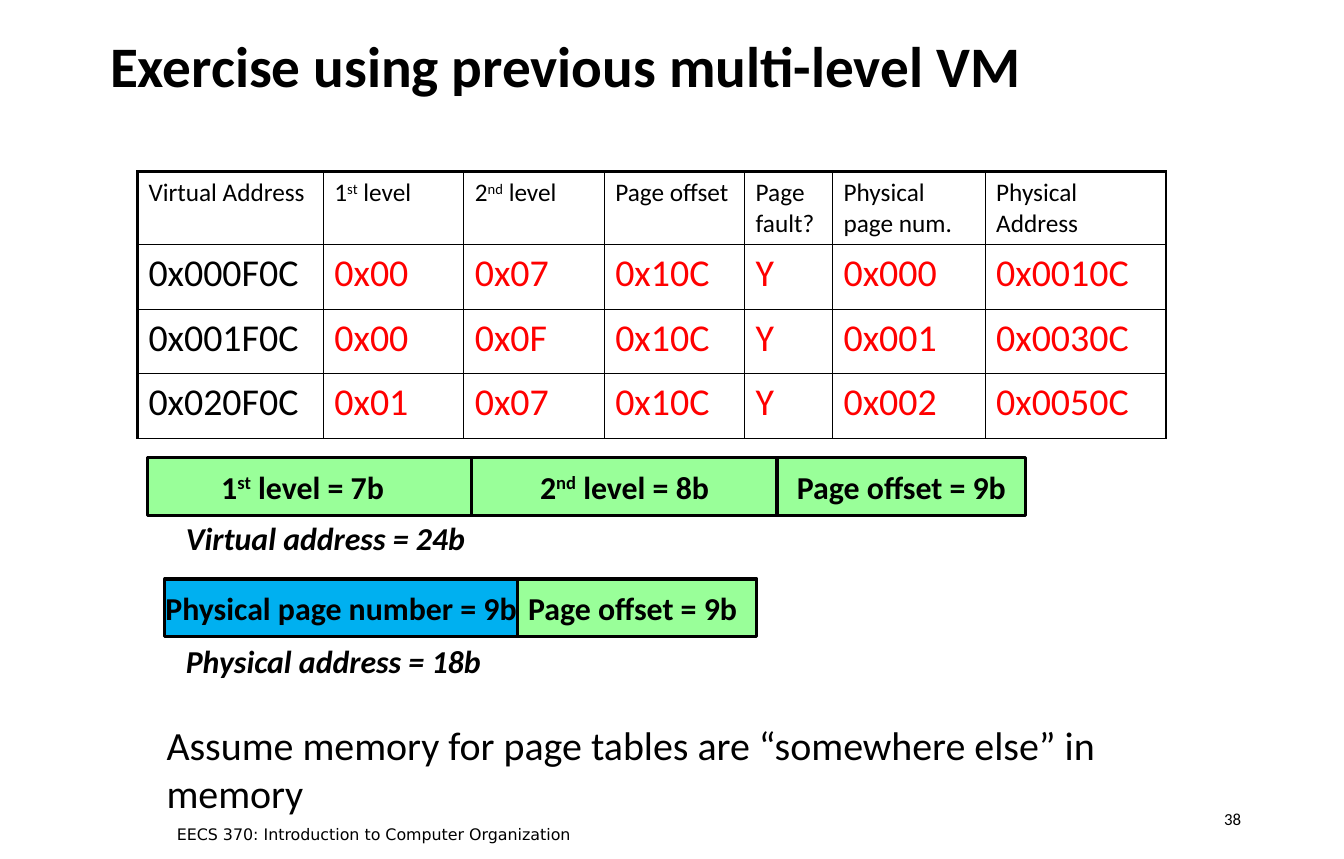
import dataclasses

import pptx
import pptx.dml.color
import pptx.enum.shapes
import pptx.enum.text
import pptx.oxml
import pptx.oxml.ns
import pptx.util

PX = 9144  # 100 px to the inch
ALIGN = pptx.enum.text.PP_ALIGN
ANCHOR = pptx.enum.text.MSO_ANCHOR


@dataclasses.dataclass(frozen=True)
class Theme:
    font: str = "Calibri"
    footer_font: str = "DejaVu Sans"
    ink: str = "000000"
    answer: str = "FF0000"
    green: str = "99FF99"
    blue: str = "00B0F0"
    title: float = 40.8
    note: float = 28.5
    value: float = 27
    field: float = 22.7
    header: float = 18
    number: float = 12
    footer: float = 11.3
    thin: float = 1
    thick: float = 2.25


THEME = Theme()

COLUMN_WIDTHS = [184, 139, 139, 139, 87, 151, 179]
ROW_HEIGHTS = [72, 64, 64, 64]
ROWS = [
    ["Virtual Address", "1^st^ level", "2^nd^ level", "Page offset",
     "Page fault?", "Physical page num.", "Physical Address"],
    ["0x000F0C", "0x00", "0x07", "0x10C", "Y", "0x000", "0x0010C"],
    ["0x001F0C", "0x00", "0x0F", "0x10C", "Y", "0x001", "0x0030C"],
    ["0x020F0C", "0x01", "0x07", "0x10C", "Y", "0x002", "0x0050C"],
]

# Label, left within the strip, width, fill, extra right inset
VIRTUAL_FIELDS = [
    ("1^st^ level = 7b", 0, 321, THEME.green, 14),
    ("2^nd^ level = 8b", 321, 302, THEME.green, 0),
    ("Page offset = 9b", 623, 246, THEME.green, 0),
]
# The page number slightly overlaps the offset, so it comes last
PHYSICAL_FIELDS = [
    ("Page offset = 9b", 340, 246, THEME.green, 0),
    ("Physical page number = 9b", 0, 349, THEME.blue, 0),
]


def emu(box):
    return [length * PX for length in box]


def rgb(color):
    return pptx.dml.color.RGBColor.from_string(color)


def set_insets(target, across, down):
    target.margin_left = target.margin_right = across * PX
    target.margin_top = target.margin_bottom = down * PX


def write(frame, text, size, color=THEME.ink, font=THEME.font,
          bold=False, italic=False, align=ALIGN.LEFT):
    """Fill a text frame; text between ^ marks is superscript."""
    para = frame.paragraphs[0]
    para.alignment = align
    for index, piece in enumerate(text.split("^")):
        span = para.add_run()
        span.text = piece
        span.font.name = font
        span.font.size = pptx.util.Pt(size)
        span.font.bold = bold
        span.font.italic = italic
        span.font.color.rgb = rgb(color)
        if index % 2:
            span.font._element.set("baseline", "30000")


def add_text(page, box, text, size, wrap=True, anchor=ANCHOR.TOP,
             insets=(10, 5), **style):
    frame = page.shapes.add_textbox(*emu(box)).text_frame
    frame.word_wrap = wrap
    frame.vertical_anchor = anchor
    set_insets(frame, *insets)
    write(frame, text, size, **style)


def set_border(cell, side, width):
    line = pptx.oxml.parse_xml(
        f'<a:ln{side} {pptx.oxml.ns.nsdecls("a")} w="{pptx.util.Pt(width)}">'
        f'<a:solidFill><a:srgbClr val="{THEME.ink}"/></a:solidFill></a:ln{side}>')
    cell._tc.get_or_add_tcPr().append(line)


def add_address_table(page, box):
    table = page.shapes.add_table(len(ROWS), len(COLUMN_WIDTHS), *emu(box)).table
    table.first_row = table.horz_banding = False
    for column, width in zip(table.columns, COLUMN_WIDTHS):
        column.width = width * PX
    for row, height in zip(table.rows, ROW_HEIGHTS):
        row.height = height * PX
    last_column = len(COLUMN_WIDTHS) - 1
    for r, values in enumerate(ROWS):
        for c, value in enumerate(values):
            cell = table.cell(r, c)
            set_insets(cell, 11, 6)
            write(cell.text_frame, value,
                  THEME.value if r else THEME.header,
                  THEME.answer if r and c else THEME.ink)
            # The outer frame is thick, except along the bottom
            outer = {"L": c == 0, "R": c == last_column, "T": r == 0, "B": False}
            for side, is_outer in outer.items():
                set_border(cell, side, THEME.thick if is_outer else THEME.thin)
            cell.fill.background()


def add_field_strip(page, box, fields):
    left, top, _, height = box
    for label, offset, width, fill, extra_inset in fields:
        field = page.shapes.add_shape(
            pptx.enum.shapes.MSO_SHAPE.RECTANGLE,
            *emu((left + offset, top, width, height)))
        field.shadow.inherit = False
        field.fill.solid()
        field.fill.fore_color.rgb = rgb(fill)
        field.line.color.rgb = rgb(THEME.ink)
        field.line.width = pptx.util.Pt(THEME.thick)
        frame = field.text_frame
        frame.word_wrap = False
        frame.vertical_anchor = ANCHOR.MIDDLE
        set_insets(frame, 10, 5)
        frame.margin_right = (10 + extra_inset) * PX
        write(frame, label, THEME.field, bold=True, align=ALIGN.CENTER)


def add_caption(page, box, text):
    add_text(page, box, text, THEME.field, wrap=False, bold=True, italic=True)


def add_footer(page, box, text, number):
    left, top, width, height = box
    add_text(page, (left, top + 22, 425, 59), text, THEME.footer,
             insets=(11, 6), font=THEME.footer_font)
    add_text(page, (left + width - 299, top, 299, 45), number, THEME.number,
             anchor=ANCHOR.MIDDLE, align=ALIGN.RIGHT)


def build_exercise(page):
    # Title
    add_text(page, (98, 0, 1133, 104), "Exercise using previous multi-level VM",
             THEME.title, anchor=ANCHOR.BOTTOM, insets=(11, 6), bold=True)
    # Worked addresses
    add_address_table(page, (136, 170, sum(COLUMN_WIDTHS), sum(ROW_HEIGHTS)))
    # Address layouts
    add_field_strip(page, (146, 453, 869, 57), VIRTUAL_FIELDS)
    add_caption(page, (174, 508, 299, 48), "Virtual address = 24b")
    add_field_strip(page, (163, 573, 586, 57), PHYSICAL_FIELDS)
    add_caption(page, (174, 630, 315, 48), "Physical address = 18b")
    # Assumption
    add_text(page, (155, 708, 1048, 106),
             "Assume memory for page tables are “somewhere else” in memory",
             THEME.note)
    # Footer and page number
    add_footer(page, (164, 788, 1074, 62),
               "EECS 370: Introduction to Computer Organization", "38")


def main():
    deck = pptx.Presentation()
    deck.slide_width, deck.slide_height = emu((1330, 850))
    build_exercise(deck.slides.add_slide(deck.slide_layouts[6]))
    deck.save("out.pptx")


if __name__ == "__main__":
    main()
